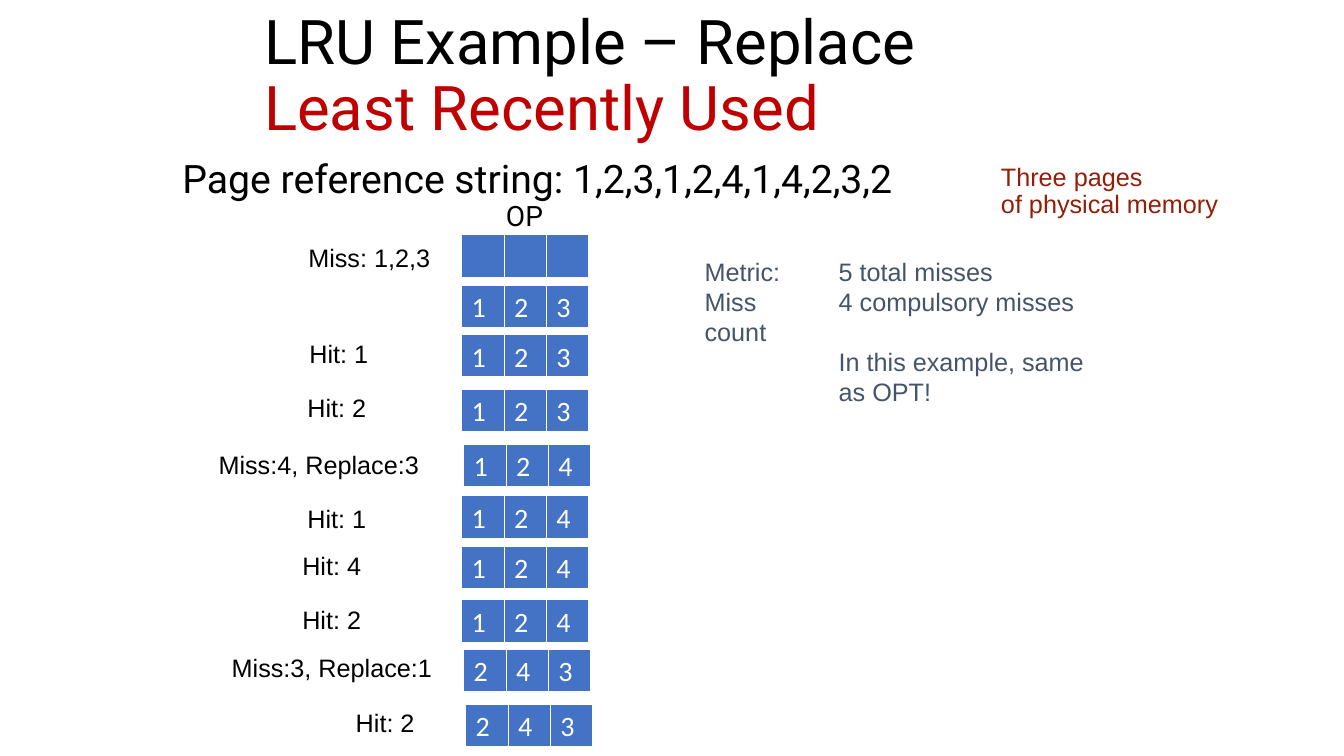
from dataclasses import dataclass

from lxml import etree
from pptx import Presentation
from pptx.dml.color import RGBColor
from pptx.enum.shapes import MSO_SHAPE
from pptx.enum.text import MSO_ANCHOR, MSO_AUTO_SIZE, PP_ALIGN
from pptx.oxml.ns import qn
from pptx.util import Inches, Pt

RECT = MSO_SHAPE.RECTANGLE
TOP, MIDDLE = MSO_ANCHOR.TOP, MSO_ANCHOR.MIDDLE
NO_FIT = MSO_AUTO_SIZE.NONE
LEFT = PP_ALIGN.LEFT
BLACK, WHITE, RED, BROWN = "000000", "FFFFFF", "C00000", "921F07"
BLUE, SLATE = "4472C4", "44546A"
CELL = 0.42


@dataclass
class Step:
    top: float
    pages: str
    left: float = 4.58
    label: str = ""
    label_left: float = 0
    label_top: float = 0
    label_width: float = 1.48


STEPS = [
    Step(2.33, "   ", label="Miss: 1,2,3", label_left=2.96, label_top=2.35),
    Step(2.83, "123"),
    Step(3.32, "123", label="Hit: 1", label_left=2.97, label_top=3.31),
    Step(3.86, "123", label="Hit: 2", label_left=2.95, label_top=3.84),
    Step(4.41, "124", 4.6, "Miss:4, Replace:3", 2.07, 4.41, 2.4),
    Step(4.92, "124", label="Hit: 1", label_left=2.95, label_top=4.94),
    Step(5.42, "124", label="Hit: 4", label_left=2.9, label_top=5.41),
    Step(5.95, "124", label="Hit: 2", label_left=2.9, label_top=5.95),
    Step(6.44, "243", 4.6, "Miss:3, Replace:1", 2.2, 6.42, 2.38),
    Step(6.99, "243", 4.62, "Hit: 2", 3.43, 6.97, 1.15),
]


def rgb(value: str) -> RGBColor:
    return RGBColor.from_string(value)


def place(sp, left: float, top: float, width: float, height: float) -> None:
    sp.left, sp.top = Inches(left), Inches(top)
    sp.width, sp.height = Inches(width), Inches(height)


def add_run(p, text: str, *, size: float = 18, font: str = "Arial",
            color: str = BLACK) -> None:
    for i, line in enumerate(text.split("\n")):
        if i:
            p.add_line_break()
        r = p.add_run()
        r.text = line
        r.font.size = Pt(size)
        r.font.name = font
        r.font.color.rgb = rgb(color)


def set_frame(sp, anchor=TOP):
    tf = sp.text_frame
    tf.word_wrap = True
    tf.auto_size = NO_FIT
    tf.vertical_anchor = anchor
    p = tf.paragraphs[0]
    p.alignment = LEFT
    p.space_before = Pt(0)
    return p


def add_text(s, text: str, left: float, top: float, width: float,
             height: float = 0.4, *, spacing: float = 1.0, **fmt):
    sp = s.shapes.add_textbox(0, 0, 0, 0)
    place(sp, left, top, width, height)
    p = set_frame(sp)
    p.line_spacing = spacing
    add_run(p, text, **fmt)
    return sp


def add_cell(s, text: str, left: float, top: float) -> None:
    sp = s.shapes.add_shape(RECT, 0, 0, 0, 0)
    place(sp, left, top, CELL, CELL)
    sp.shadow.inherit = False
    sp.fill.solid()
    sp.fill.fore_color.rgb = rgb(BLUE)
    sp.line.color.rgb = rgb(WHITE)
    sp.line.width = Pt(0.75)
    p = set_frame(sp, MIDDLE)
    if text.strip():
        add_run(p, text, size=20, font="Calibri", color=WHITE)


def add_step(s, step: Step) -> None:
    for i, page in enumerate(step.pages):
        add_cell(s, page, step.left + i * CELL, step.top)
    if step.label:
        add_text(s, step.label, step.label_left, step.label_top, step.label_width)


def add_headings(s) -> None:
    title, body = s.shapes.title, s.placeholders[1]
    place(title, 2.52, 0.07, 8.29, 1.4)
    p = set_frame(title, MIDDLE)
    p.line_spacing = 0.9
    add_run(p, "LRU Example – Replace\n", size=44, font="Roboto")
    add_run(p, "Least Recently Used", size=44, font="Roboto", color=RED)

    place(body, 1.71, 1.53, 9.25, 0.75)
    p = set_frame(body)
    p.line_spacing = 0.9
    pPr = p._p.get_or_add_pPr()
    pPr.set("marL", str(Inches(0.23)))
    pPr.set("indent", str(Inches(-0.23)))
    etree.SubElement(pPr, qn("a:buNone"))
    add_run(p, "Page reference string: 1,2,3,1,2,4,1,4,2,3,2", size=28, font="Roboto")


def add_notes_on_result(s) -> None:
    add_text(s, "Three pages\nof physical memory", 9.83, 1.58, 3.4, 0.65,
             spacing=0.9, color=BROWN)
    add_text(s, "Metric:\nMiss count", 6.89, 2.49, 1.25, 1.01, color=SLATE)
    sp = add_text(s, "5 total misses", 8.22, 2.49, 2.74, 1.62, color=SLATE)
    for text, gap in (("4 compulsory misses", 0), ("In this example, same as OPT!", 21)):
        p = sp.text_frame.add_paragraph()
        p.space_before = Pt(gap)
        add_run(p, text, color=SLATE)


def main() -> None:
    prs = Presentation()
    prs.slide_width, prs.slide_height = Inches(13.33), Inches(7.5)
    s = prs.slides.add_slide(prs.slide_layouts[1])
    add_headings(s)
    add_text(s, "OPT", 4.92, 1.92, 0.72, 0.44, size=20, font="Roboto")
    for step in STEPS:
        add_step(s, step)
    add_notes_on_result(s)
    prs.save("out.pptx")


if __name__ == "__main__":
    main()
